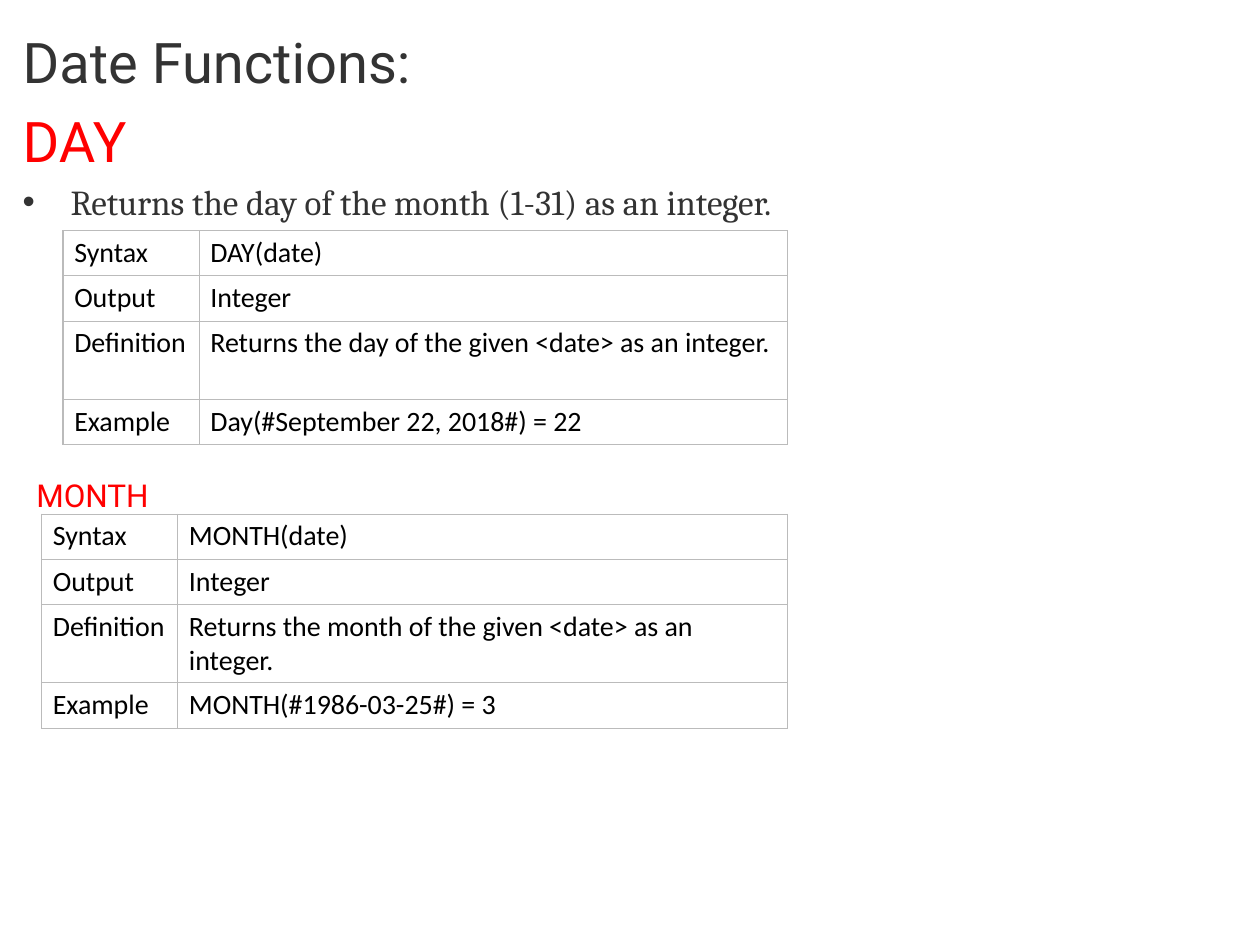
from dataclasses import dataclass

from lxml import etree
from pptx import Presentation
from pptx.dml.color import RGBColor
from pptx.enum.text import MSO_ANCHOR, MSO_AUTO_SIZE
from pptx.oxml.ns import qn
from pptx.util import Inches, Pt

TOP, NO_AUTOFIT = MSO_ANCHOR.TOP, MSO_AUTO_SIZE.NONE


@dataclass(frozen=True)
class Theme:
    dark: str = "333333"
    accent: str = "FF0000"
    black: str = "000000"
    border: str = "BBBBBB"
    border_pt: float = 0.75
    heading: tuple = ("Roboto", 32)
    subheading: tuple = ("Roboto", 18)
    bullet: tuple = ("Cambria", 20)
    cell: tuple = ("Calibri", 16)


THEME = Theme()

# Content: text, font, colour, bulleted
INTRO = [
    ("Date Functions:", THEME.heading, THEME.dark, False),
    ("DAY", THEME.heading, THEME.accent, False),
    ("Returns the day of the month (1-31) as an integer.", THEME.bullet, THEME.dark, True),
]
MONTH_HEADING = "MONTH"
LABELS = ["Syntax", "Output", "Definition", "Example"]
DAY_VALUES = [
    "DAY(date)",
    "Integer",
    "Returns the day of the given <date> as an integer.",
    "Day(#September 22, 2018#) = 22",
]
MONTH_VALUES = [
    "MONTH(date)",
    "Integer",
    "Returns the month of the given <date> as an integer.",
    "MONTH(#1986-03-25#) = 3",
]

# Layout in inches: both tables share a right edge, label column and rows
SLIDE_W, SLIDE_H = 10, 7.5
TABLE_RIGHT, LABEL_W = 6.25, 1.08
ROW_HEIGHTS = [0.36, 0.36, 0.62, 0.36]
HANGING = 0.38
MARGINS = {"margin_left": 0.09, "margin_right": 0.09, "margin_top": 0.04, "margin_bottom": 0.04}


def write(paragraph, text, font, color):
    run = paragraph.add_run()
    run.text = text
    family, size = font
    for name, value in {"name": family, "size": Pt(size), "bold": False}.items():
        setattr(run.font, name, value)
    run.font.color.rgb = RGBColor.from_string(color)


def set_bullet(paragraph, bulleted):
    props = paragraph._p.get_or_add_pPr()
    indent = Inches(HANGING) if bulleted else 0
    props.set("marL", str(indent))
    props.set("indent", str(-indent))
    if bulleted:
        etree.SubElement(props, qn("a:buChar")).set("char", "•")
    else:
        etree.SubElement(props, qn("a:buNone"))


def set_borders(cell):
    props = cell._tc.get_or_add_tcPr()
    for side in ("lnL", "lnR", "lnT", "lnB"):
        line = etree.SubElement(props, qn(f"a:{side}"), w=str(Pt(THEME.border_pt)))
        fill = etree.SubElement(line, qn("a:solidFill"))
        etree.SubElement(fill, qn("a:srgbClr"), val=THEME.border)


def add_function_table(slide, left, top, values):
    widths = [LABEL_W, TABLE_RIGHT - left - LABEL_W]
    table = slide.shapes.add_table(
        len(LABELS), len(widths), Inches(left), Inches(top),
        Inches(sum(widths)), Inches(sum(ROW_HEIGHTS))).table
    table.first_row = table.horz_banding = False
    for column, width in zip(table.columns, widths):
        column.width = Inches(width)
    for row, height, texts in zip(table.rows, ROW_HEIGHTS, zip(LABELS, values)):
        row.height = Inches(height)
        for cell, text in zip(row.cells, texts):
            for name, value in MARGINS.items():
                setattr(cell, name, Inches(value))
            cell.vertical_anchor = TOP
            set_borders(cell)
            cell.fill.background()
            write(cell.text_frame.paragraphs[0], text, THEME.cell, THEME.black)


def main():
    deck = Presentation()
    deck.slide_width, deck.slide_height = Inches(SLIDE_W), Inches(SLIDE_H)
    slide = deck.slides.add_slide(deck.slide_layouts[1])

    # Headings and bullet share the body placeholder; no separate title
    title = slide.shapes.title._element
    title.getparent().remove(title)
    intro = slide.placeholders[1]
    place = {"left": 0.08, "top": 0.17, "width": 9.75, "height": 6.53}
    for name, value in place.items():
        setattr(intro, name, Inches(value))
    frame = intro.text_frame
    frame.auto_size = NO_AUTOFIT
    for index, (text, font, color, bulleted) in enumerate(INTRO):
        paragraph = frame.add_paragraph() if index else frame.paragraphs[0]
        set_bullet(paragraph, bulleted)
        write(paragraph, text, font, color)

    # DAY table
    add_function_table(slide, 0.5, 1.83, DAY_VALUES)

    # MONTH heading and table
    month = slide.shapes.add_textbox(Inches(0.19), Inches(3.73), Inches(5.04), Inches(0.71))
    month.text_frame.word_wrap = True
    write(month.text_frame.paragraphs[0], MONTH_HEADING, THEME.subheading, THEME.accent)
    add_function_table(slide, 0.33, 4.08, MONTH_VALUES)

    deck.save("out.pptx")


if __name__ == "__main__":
    main()
